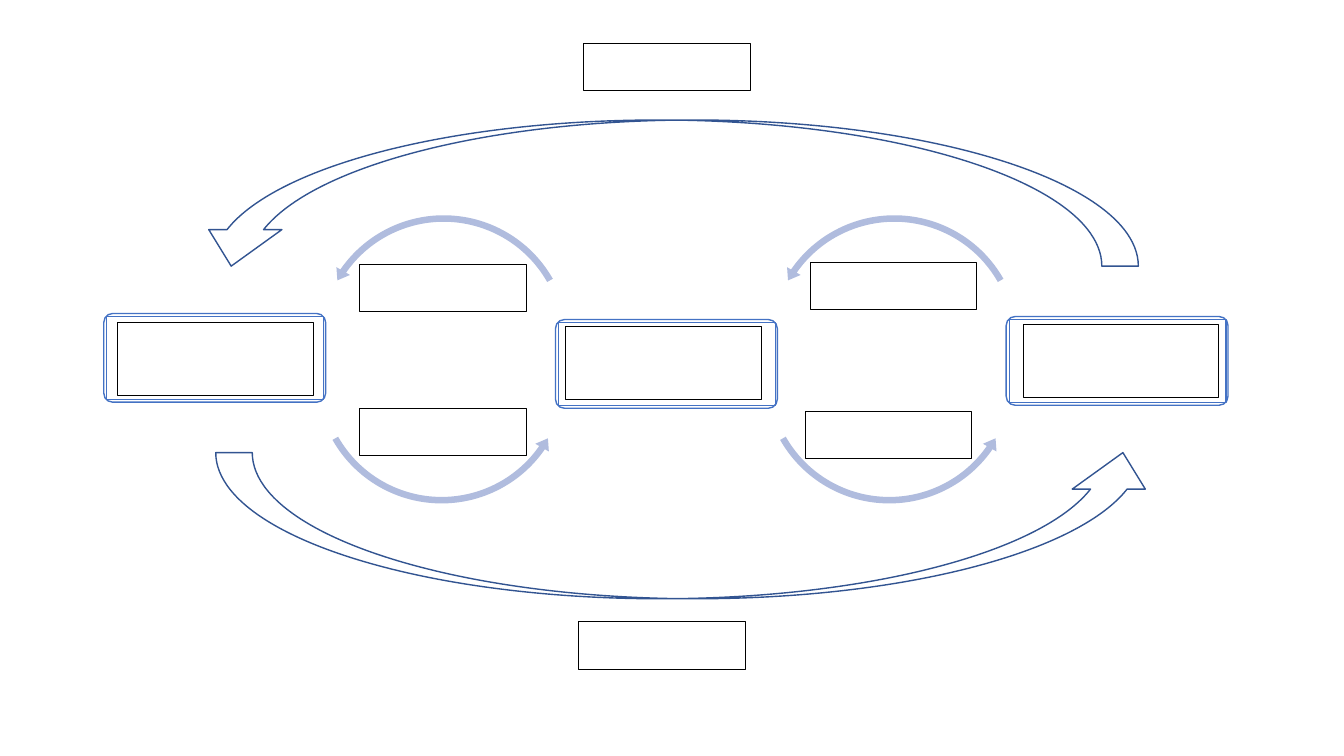
from pptx import Presentation
from pptx.dml.color import RGBColor
from pptx.enum.shapes import MSO_SHAPE as M
from pptx.util import Inches, Pt

BLUE = RGBColor(0x44, 0x72, 0xC4)
NAVY = RGBColor(0x32, 0x54, 0x91)
LAVENDER = RGBColor(0xB0, 0xBC, 0xDE)
BLACK = RGBColor(0, 0, 0)


class CycleSlide:
    thin, medium = Pt(0.75), Pt(1)
    label_size = (1.65, 0.47)
    stage_size = (1.94, 0.72)
    arc_size = (2.58, 2.58)
    sweep_size = (9.36, 1.45)
    arc_adjustments = (0.025, 3.094, 20.849, 90.245, 0.03)

    def __init__(self, prs):
        self.s = prs.slides.add_slide(prs.slide_layouts[6])

    def shape(self, kind, pos, size, fill=None, line=None, width=None,
              adjustments=(), rotation=0, shapes=None):
        shapes = shapes or self.s.shapes
        sp = shapes.add_shape(kind, *(Inches(v) for v in (*pos, *size)))
        sp.shadow.inherit = False
        sp.rotation = rotation
        for i, value in enumerate(adjustments):
            sp.adjustments[i] = value
        if fill is None:
            sp.fill.background()
        else:
            sp.fill.solid()
            sp.fill.fore_color.rgb = fill
        if line is None:
            sp.line.fill.background()
        else:
            sp.line.color.rgb = line
            sp.line.width = width
        return sp

    def frame(self, x, y):
        shapes = self.s.shapes.add_group_shape().shapes
        self.shape(M.ROUNDED_RECTANGLE, (x, y), (2.2, 0.88), line=BLUE,
                   width=self.medium, adjustments=(0.1,), shapes=shapes)
        self.shape(M.RECTANGLE, (x + 0.03, y + 0.03), (2.15, 0.82), line=BLUE,
                   width=self.thin, shapes=shapes)

    def arc(self, x, y, rotation):
        self.shape(M.LEFT_CIRCULAR_ARROW, (x, y), self.arc_size, fill=LAVENDER,
                   adjustments=self.arc_adjustments, rotation=rotation)

    def sweep(self, x, y, rotation):
        self.shape(M.CURVED_UP_ARROW, (x, y), self.sweep_size, line=NAVY,
                   width=self.medium, rotation=rotation)

    def box(self, x, y, size):
        self.shape(M.RECTANGLE, (x, y), size, line=BLACK, width=self.thin)


prs = Presentation()
prs.slide_width, prs.slide_height = Inches(13.33), Inches(7.5)
cycle = CycleSlide(prs)

for x, y in ((9.98, 3.14), (1.03, 3.11), (5.51, 3.17)):
    cycle.frame(x, y)

for x, y, rotation in ((3.09, 2.46, 0), (7.53, 2.46, 0),
                       (3.11, 2.09, 180), (7.58, 2.09, 180)):
    cycle.arc(x, y, rotation)

for x, y, rotation in ((2.14, 4.49, 0), (1.93, 1.19, 180)):
    cycle.sweep(x, y, rotation)

for x, y in ((5.61, 3.24), (10.15, 3.22), (1.17, 3.2)):
    cycle.box(x, y, cycle.stage_size)

for x, y in ((3.57, 2.62), (3.57, 4.05), (8.04, 2.6),
             (7.99, 4.08), (5.79, 0.43), (5.74, 6.17)):
    cycle.box(x, y, cycle.label_size)

prs.save("out.pptx")
